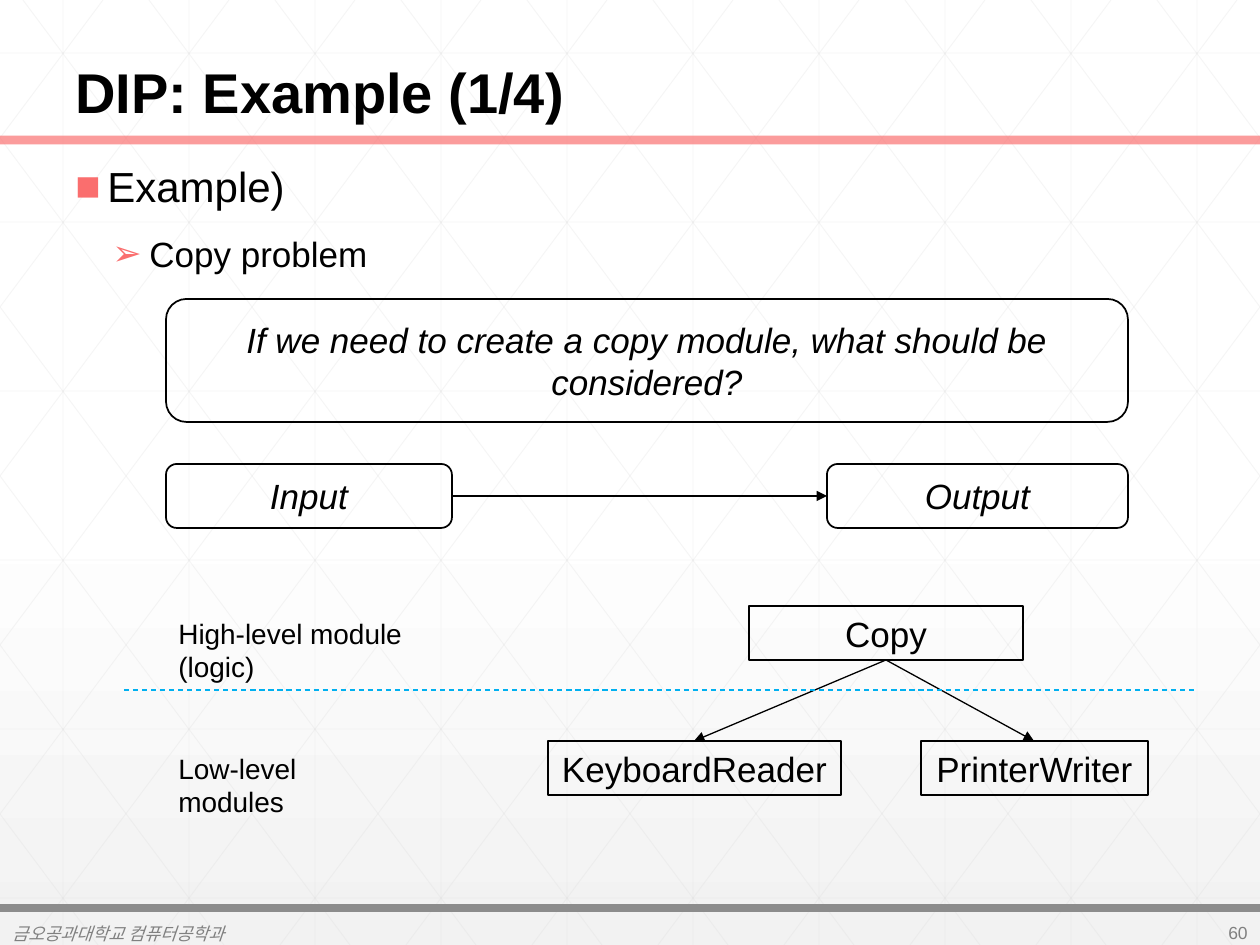
from dataclasses import dataclass

from lxml import etree
from pptx import Presentation
from pptx import util as u
from pptx.dml.color import RGBColor
from pptx.enum import dml, shapes, text
from pptx.oxml import ns

WIDE, HIGH = 1260, 945
SCALE = 914400 / 126


@dataclass(frozen=True)
class Theme:
    font: str = "Arial"
    ink: str = "000000"
    rose: str = "FA6E6E"
    gray: str = "8C8C8C"
    dim: str = "808080"
    mesh: str = "D9D9D9"
    blue: str = "00B0F0"
    white: str = "FFFFFF"
    pale: str = "F2F2F2"
    title: int = 32
    head: int = 24
    body: int = 20
    label: int = 16
    foot: int = 10


THEME = Theme()


def px(n):
    return u.Emu(round(n * SCALE))


def rgb(code):
    return RGBColor.from_string(code)


def add(node, tag, **attrs):
    return etree.SubElement(node, ns.qn(tag), attrs)


def paint(slide):
    fill = slide.background.fill
    fill.gradient()
    fill.gradient_angle = 270
    stops = slide.element.find(".//" + ns.qn("a:gsLst"))
    for stop in list(stops):
        stops.remove(stop)
    for pos, code in ((0, THEME.white), (53, THEME.white), (100, THEME.pale)):
        add(add(stops, "a:gs", pos=str(pos * 1000)), "a:srgbClr", val=code)


def rule(slide, start, end, color, width, alpha=None, dash=None, arrow=False):
    line = slide.shapes.add_connector(
        shapes.MSO_CONNECTOR.STRAIGHT, *map(px, (*start, *end)))
    line.line.color.rgb = rgb(color)
    line.line.width = u.Pt(width)
    if dash:
        line.line.dash_style = dash
    props = line._element.spPr
    pen = props.find(ns.qn("a:ln"))
    if alpha:
        add(pen.find(".//" + ns.qn("a:srgbClr")), "a:alpha", val=str(alpha * 1000))
    if arrow:
        add(pen, "a:tailEnd", type="triangle")
    add(props, "a:effectLst")


def mesh(slide):
    def thin(start, end):
        rule(slide, start, end, THEME.mesh, 0.5, alpha=25)

    for x in range(63, WIDE, 126):
        thin((x, 0), (x, HIGH))
    for y in range(53, HIGH, 169):
        thin((0, y), (WIDE, y))
    run = 705
    slope = HIGH / run
    for base in range(23 - 5 * 126, WIDE, 126):
        left, right = max(base, 0), min(base + run, WIDE)
        top, low = (round((x - base) * slope) for x in (left, right))
        thin((left, top), (right, low))
        thin((WIDE - left, top), (WIDE - right, low))


def style(para, size, color=THEME.ink, bold=False, italic=False):
    font = para.font
    font.name, font.size = THEME.font, u.Pt(size)
    font.bold, font.italic = bold, italic
    font.color.rgb = rgb(color)


def write(slide, box, words, size, anchor=text.MSO_ANCHOR.MIDDLE,
          align=text.PP_ALIGN.LEFT, **looks):
    frame = slide.shapes.add_textbox(*map(px, box)).text_frame
    frame.word_wrap = True
    frame.vertical_anchor = anchor
    para = frame.paragraphs[0]
    para.text = words
    para.alignment = align
    style(para, size, **looks)
    return frame


def bullet(para, mark, left, hang):
    props = para._p.get_or_add_pPr()
    props.set("marL", str(px(left)))
    props.set("indent", str(-px(hang)))
    add(add(props, "a:buClr"), "a:srgbClr", val=THEME.rose)
    add(props, "a:buFont", typeface=THEME.font)
    add(props, "a:buChar", char=mark)


def outline(slide):
    frame = write(slide, (63, 160, 1134, 735), "Example)", THEME.head,
                  anchor=text.MSO_ANCHOR.TOP)
    first, second = frame.paragraphs[0], frame.add_paragraph()
    first.line_spacing = 0.9
    second.text = "Copy problem"
    second.level = 1
    second.space_before = u.Pt(12)
    bullet(first, "■", 32, 32)
    bullet(second, "➢", 74, 37)
    style(second, THEME.body)


def node(slide, box, words, kind=shapes.MSO_SHAPE.RECTANGLE, italic=False):
    shape = slide.shapes.add_shape(kind, *map(px, box))
    shape.shadow.inherit = False
    shape.fill.background()
    shape.line.color.rgb = rgb(THEME.ink)
    shape.line.width = u.Pt(1)
    frame = shape.text_frame
    frame.word_wrap = True
    frame.vertical_anchor = text.MSO_ANCHOR.MIDDLE
    para = frame.paragraphs[0]
    para.text = words
    para.alignment = text.PP_ALIGN.CENTER
    style(para, THEME.body, italic=italic)


def arrow(slide, start, end):
    rule(slide, start, end, THEME.ink, 0.75, arrow=True)


def flow(slide):
    for box, words in (
        ((166, 299, 962, 123), "If we need to create a copy module, what should be considered?"),
        ((166, 464, 286, 64), "Input"),
        ((827, 464, 301, 64), "Output"),
    ):
        node(slide, box, words, shapes.MSO_SHAPE.ROUNDED_RECTANGLE, italic=True)
    arrow(slide, (452, 496), (827, 496))


def tree(slide):
    node(slide, (749, 606, 274, 54), "Copy")
    for left, wide, words in ((548, 293, "KeyboardReader"), (921, 227, "PrinterWriter")):
        node(slide, (left, 741, wide, 54), words)
        arrow(slide, (886, 660), (left + wide // 2, 741))
    for top, wide, words in ((610, 321, "High-level module (logic)"),
                             (745, 244, "Low-level modules")):
        write(slide, (166, top, wide, 47), words, THEME.label,
              anchor=text.MSO_ANCHOR.TOP)
    rule(slide, (124, 690), (1198, 690), THEME.blue, 0.75,
         dash=dml.MSO_LINE.DASH)


def main():
    deck = Presentation()
    deck.slide_width, deck.slide_height = px(WIDE), px(HIGH)
    slide = deck.slides.add_slide(deck.slide_layouts[6])
    paint(slide)
    mesh(slide)
    rule(slide, (0, 140), (WIDE, 140), THEME.rose, 5, alpha=67)
    rule(slide, (0, 908), (WIDE, 908), THEME.gray, 5)
    outline(slide)
    title = write(slide, (63, 0, 1134, 132), "DIP: Example (1/4)", THEME.title,
                  anchor=text.MSO_ANCHOR.BOTTOM, bold=True)
    title.paragraphs[0].line_spacing = 0.9
    write(slide, (0, 918, 634, 30), "금오공과대학교 컴퓨터공학과", THEME.foot,
          color=THEME.dim, italic=True)
    write(slide, (1166, 917, 94, 30), "60", THEME.foot,
          align=text.PP_ALIGN.RIGHT, color=THEME.dim)
    flow(slide)
    tree(slide)
    deck.save("out.pptx")


if __name__ == "__main__":
    main()
